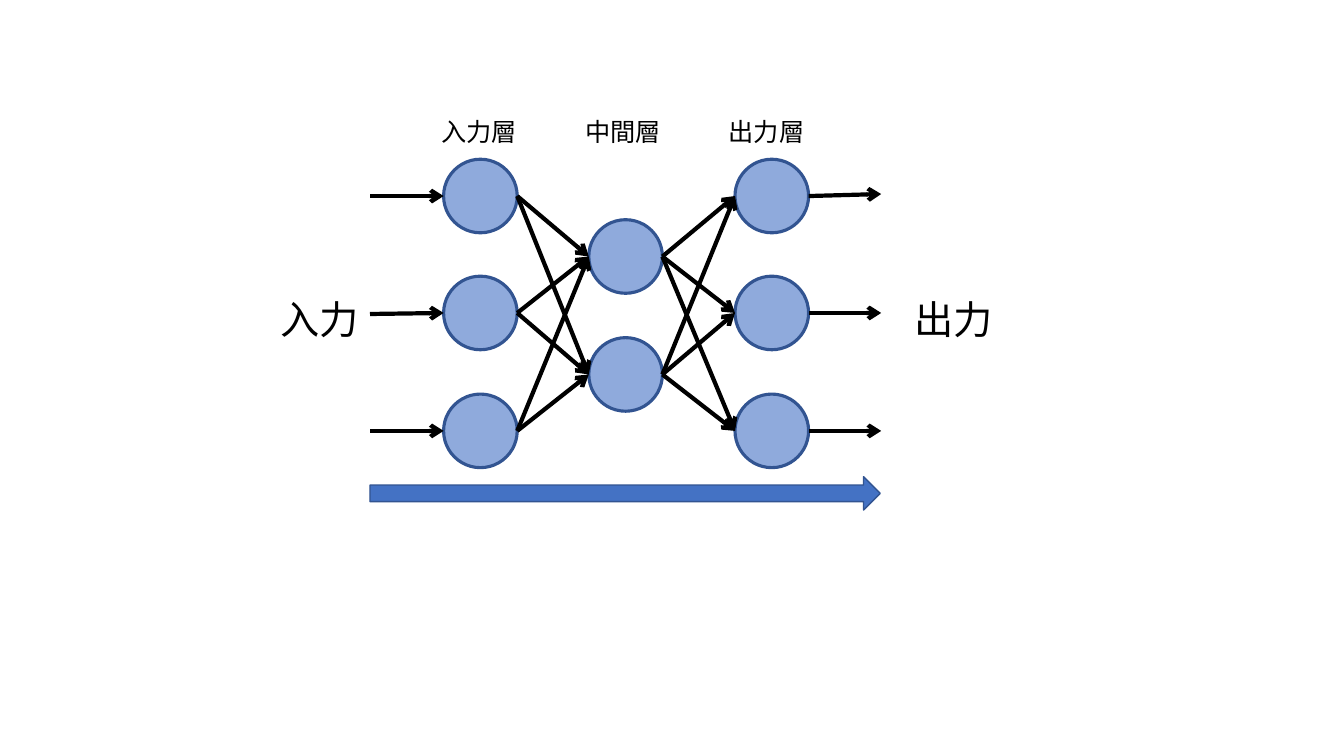
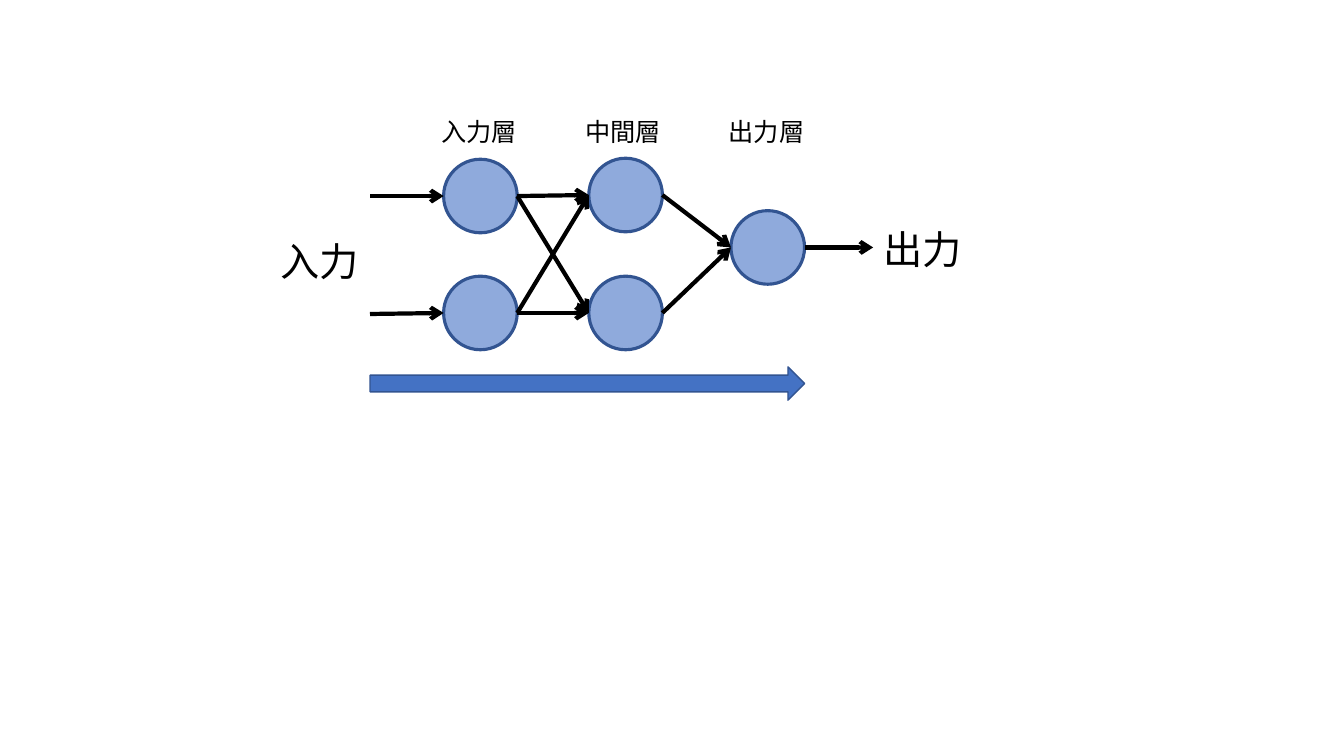
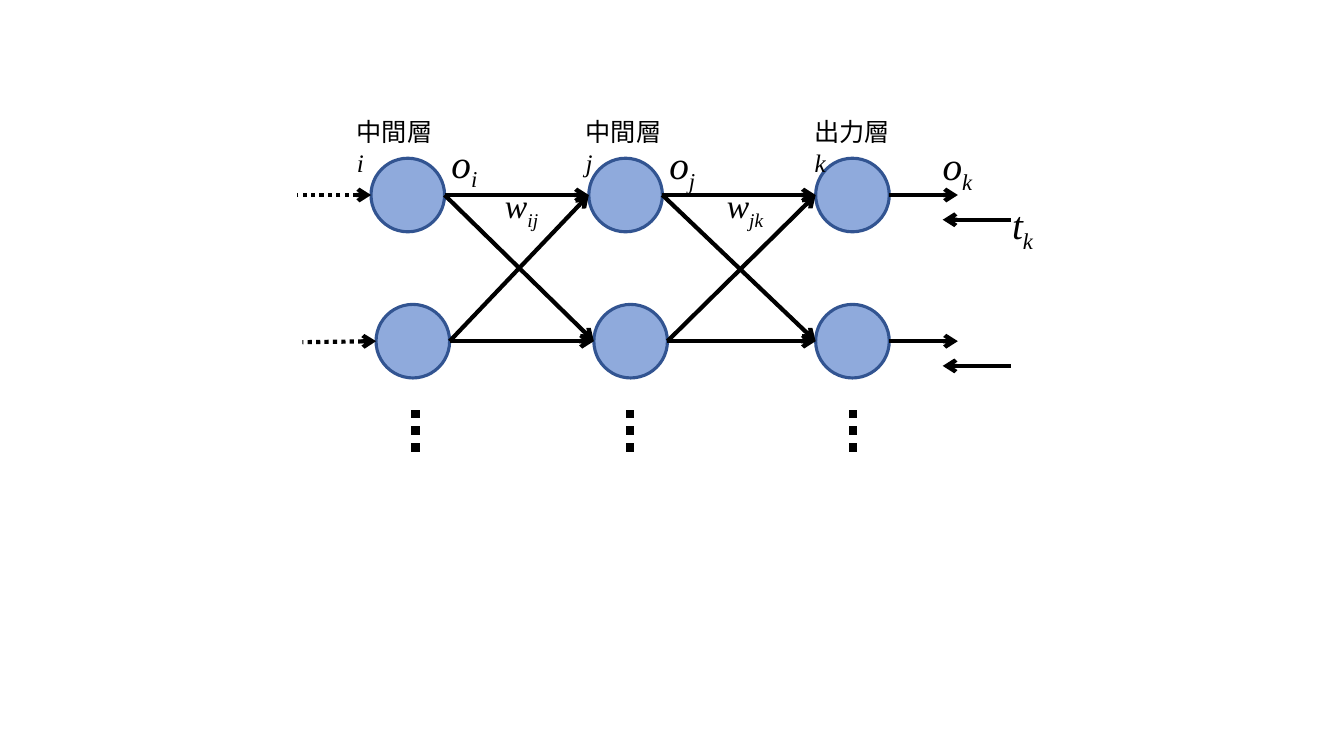
import dataclasses
import itertools

import lxml.etree
import pptx
import pptx.dml.color
import pptx.enum.dml
import pptx.enum.shapes
import pptx.enum.text
import pptx.oxml.ns
import pptx.util

Inches = pptx.util.Inches
Pt = pptx.util.Pt
Shapes = pptx.enum.shapes.MSO_SHAPE


@dataclasses.dataclass(frozen=True)
class Theme:
    node_fill: str = "8FAADC"
    outline: str = "325491"
    flow_fill: str = "4472C4"
    ink: str = "000000"
    text_font: str = "Noto Sans CJK JP"
    math_font: str = "Times New Roman"
    layer_size: float = 18
    weight_size: float = 24
    large_size: float = 28
    node_line: float = 2.25
    flow_line: float = 1
    arrow_line: float = 3
    dots_line: float = 6
    node_size: float = 0.73


def color(value):
    return pptx.dml.color.RGBColor.from_string(value)


def add_xml(parent, tag, **attributes):
    return lxml.etree.SubElement(parent, pptx.oxml.ns.qn(tag), **attributes)


class NetworkDeck:
    def __init__(self, theme):
        self.theme = theme
        self.deck = pptx.Presentation()
        self.deck.slide_width = Inches(13.33)
        self.deck.slide_height = Inches(7.5)
        self.page = None

    def new_page(self):
        self.page = self.deck.slides.add_slide(self.deck.slide_layouts[6])

    def shape(self, kind, left, top, width, height, fill, line_width):
        shape = self.page.shapes.add_shape(
            kind, Inches(left), Inches(top), Inches(width), Inches(height))
        shape.shadow.inherit = False
        shape.fill.solid()
        shape.fill.fore_color.rgb = color(fill)
        shape.line.color.rgb = color(self.theme.outline)
        shape.line.width = Pt(line_width)

    def flow(self, top, width):
        self.shape(Shapes.RIGHT_ARROW, 3.67, top, width, 0.33,
                   self.theme.flow_fill, self.theme.flow_line)

    def layer(self, *nodes):
        size = self.theme.node_size
        for left, top in nodes:
            self.shape(Shapes.OVAL, left, top, size, size,
                       self.theme.node_fill, self.theme.node_line)
        return nodes

    def entry(self, node):
        return node[0], node[1] + self.theme.node_size / 2

    def exit(self, node):
        left, middle = self.entry(node)
        return left + self.theme.node_size, middle

    def line(self, start, end, width, dotted=False, arrow=False):
        line = self.page.shapes.add_connector(
            pptx.enum.shapes.MSO_CONNECTOR.STRAIGHT,
            *(Inches(value) for value in (*start, *end)))
        line.line.color.rgb = color(self.theme.ink)
        line.line.width = Pt(width)
        if dotted:
            line.line.dash_style = pptx.enum.dml.MSO_LINE.ROUND_DOT
        properties = line._element.spPr
        if arrow:
            add_xml(properties.find(pptx.oxml.ns.qn("a:ln")),
                    "a:headEnd", type="arrow")
        add_xml(properties, "a:effectLst")

    def arrow(self, tip, tail, dotted=False):
        self.line(tip, tail, self.theme.arrow_line, dotted, arrow=True)

    def connect(self, sources, targets):
        for source, target in itertools.product(sources, targets):
            self.arrow(self.entry(target), self.exit(source))

    def inputs(self, nodes, dotted=False):
        for node, drop in itertools.zip_longest(nodes, (0, 0.01), fillvalue=0):
            if node:
                left, middle = self.entry(node)
                self.arrow((left, middle), (left - 0.73, middle + drop), dotted)

    def outputs(self, nodes, length, first_rise=0):
        for index, node in enumerate(nodes):
            left, middle = self.exit(node)
            rise = 0 if index else first_rise
            self.arrow((left + length, middle - rise), (left, middle))

    def dots(self, left):
        self.line((left, 4.48), (left, 3.98), self.theme.dots_line, dotted=True)

    def text(self, text, left, top, width, height, size, font):
        box = self.page.shapes.add_textbox(
            Inches(left), Inches(top), Inches(width), Inches(height))
        frame = box.text_frame
        frame.word_wrap = False
        frame.auto_size = pptx.enum.text.MSO_AUTO_SIZE.SHAPE_TO_FIT_TEXT
        para = frame.paragraphs[0]
        para.add_run().text = text
        para.font.size = Pt(size)
        para.font.color.rgb = color(self.theme.ink)
        para.font.name = font
        defaults = para._p.pPr.find(pptx.oxml.ns.qn("a:defRPr"))
        add_xml(defaults, "a:ea", typeface=font)
        return frame

    def layer_name(self, text, left):
        self.text(text, left, 1.11, 0.96, 0.4,
                  self.theme.layer_size, self.theme.text_font)

    def indexed_layer_name(self, text, index, left):
        frame = self.text(text + " ", left, 1.11, 1.12, 0.4,
                          self.theme.layer_size, self.theme.text_font)
        frame.auto_size = pptx.enum.text.MSO_AUTO_SIZE.NONE
        frame.word_wrap = True
        frame.margin_right = Inches(0.25)
        span = frame.paragraphs[0].add_run()
        span.text = index
        span.font.name = self.theme.math_font
        span.font.italic = True

    def layer_names(self):
        for text, left in (("入力層", 4.28), ("中間層", 5.71), ("出力層", 7.13)):
            self.layer_name(text, left)

    def end_name(self, text, left, top):
        self.text(text, left, top, 0.99, 0.57,
                  self.theme.large_size, self.theme.text_font)

    def symbol(self, base, index, left, top, width, height, size):
        frame = self.text(base, left, top, width, height, size,
                          self.theme.math_font)
        para = frame.paragraphs[0]
        para.font.italic = True
        span = para.add_run()
        span.text = index
        span._r.get_or_add_rPr().set("baseline", "-25000")

    def variable(self, base, index, left, top, width):
        self.symbol(base, index, left, top, width, 0.57, self.theme.large_size)

    def weight(self, index, left, width):
        self.symbol("w", index, left, 1.79, width, 0.5, self.theme.weight_size)


def autoencoder(deck):
    deck.new_page()
    tops = (1.58, 2.74, 3.91)
    first = deck.layer(*((4.4, top) for top in tops))
    middle = deck.layer((5.84, 2.18), (5.84, 3.35))
    last = deck.layer(*((7.29, top) for top in tops))
    deck.connect(first, middle)
    deck.connect(middle, last)
    deck.inputs(first)
    deck.outputs(last, 0.72, first_rise=0.02)
    deck.layer_names()
    deck.flow(4.73, 5.06)
    deck.end_name("出力", 8.97, 2.88)
    deck.end_name("入力", 2.68, 2.88)


def single_output(deck):
    deck.new_page()
    first = deck.layer((4.4, 1.58), (4.4, 2.74))
    middle = deck.layer((5.84, 1.57), (5.84, 2.74))
    last = deck.layer((7.25, 2.09))
    deck.connect(first, middle)
    deck.connect(middle, last)
    deck.inputs(first)
    deck.outputs(last, 0.68)
    deck.layer_names()
    deck.flow(3.64, 4.31)
    deck.end_name("出力", 8.66, 2.19)
    deck.end_name("入力", 2.68, 2.31)


def backpropagation(deck):
    deck.new_page()
    first = deck.layer((3.68, 1.57), (3.73, 3.02))
    middle = deck.layer((5.84, 1.57), (5.89, 3.02))
    last = deck.layer((8.09, 1.57), (8.09, 3.02))
    deck.connect(first, middle)
    deck.connect(middle, last)
    deck.inputs(first, dotted=True)
    deck.outputs(last, 0.68)
    for height in (2.18, 3.63):
        deck.arrow((9.35, height), (10.03, height))
    for left in (4.12, 6.25, 8.46):
        deck.dots(left)
    for text, index, left in (("中間層", "i", 3.44), ("中間層", "j", 5.71),
                              ("出力層", "k", 7.98)):
        deck.indexed_layer_name(text, index, left)
    deck.variable("o", "i", 4.38, 1.33, 0.47)
    deck.variable("o", "j", 6.54, 1.34, 0.47)
    deck.variable("o", "k", 9.25, 1.35, 0.51)
    deck.variable("t", "k", 9.94, 1.94, 0.43)
    deck.weight("ij", 4.91, 0.55)
    deck.weight("jk", 7.11, 0.59)


def main():
    deck = NetworkDeck(Theme())
    autoencoder(deck)
    single_output(deck)
    backpropagation(deck)
    deck.deck.save("out.pptx")


if __name__ == "__main__":
    main()
